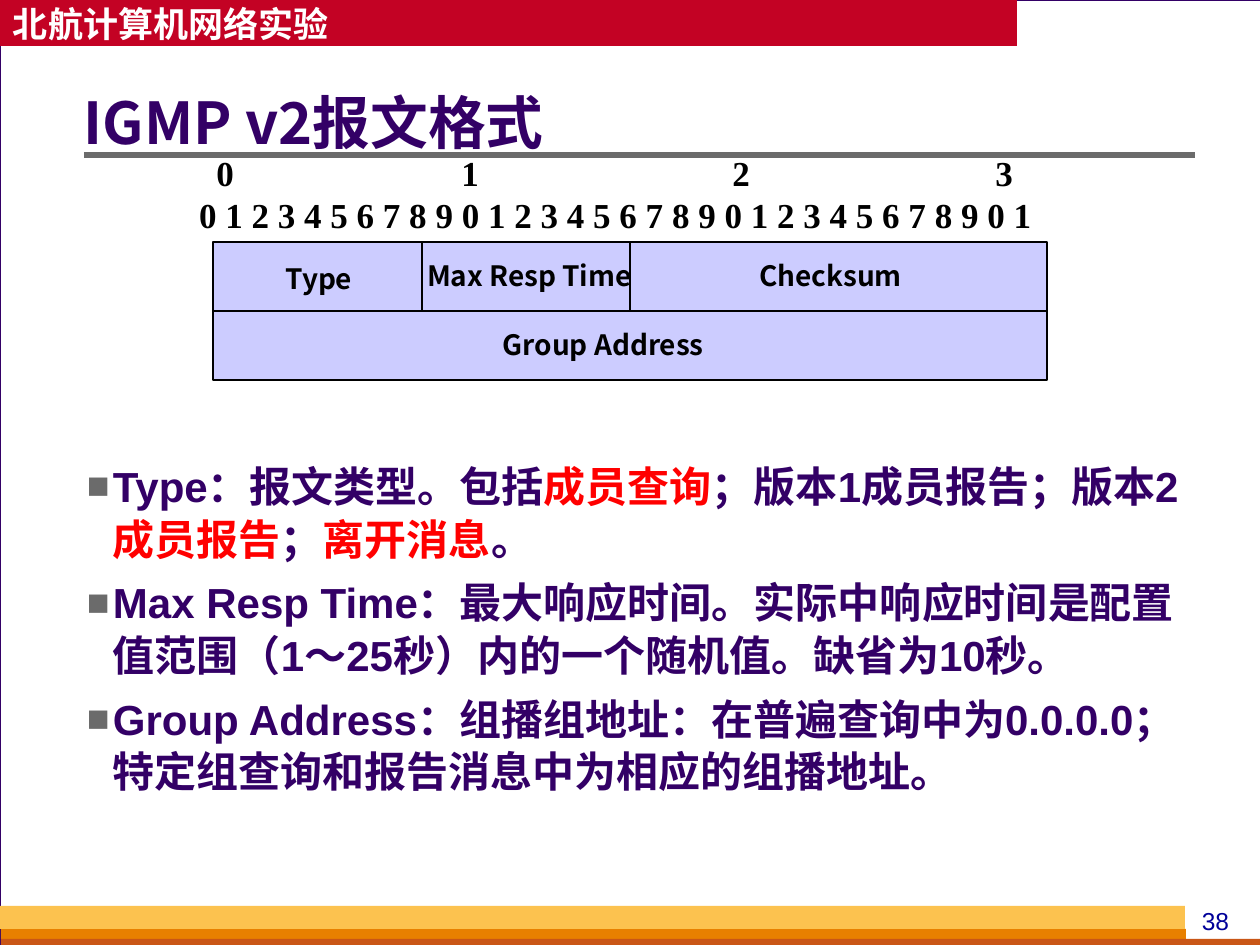
from dataclasses import dataclass
from typing import Optional

from lxml import etree
from pptx import Presentation
from pptx import util as u
from pptx.dml.color import RGBColor
from pptx.enum import shapes, text
from pptx.oxml import ns

PX = 914400 / 126
CJK, ARIAL, TIMES = "Noto Sans CJK SC", "Arial", "Times New Roman"
PURPLE, RED, GRAY, BLACK, CELL = "330066", "FF0000", "6B6B6B", "000000", "CCCCFF"
CENTER, LEFT = text.PP_ALIGN.CENTER, text.PP_ALIGN.LEFT
TOP, MIDDLE = text.MSO_ANCHOR.TOP, text.MSO_ANCHOR.MIDDLE


@dataclass
class Box:
    x: int
    y: int
    w: int
    h: int


@dataclass
class Bar:
    box: Box
    fill: str
    line: Optional[str] = None
    width: float = 1


@dataclass
class Style:
    size: int
    name: str
    color: str
    bold: bool = True


@dataclass
class Label:
    box: Box
    words: str
    style: Style
    align: object = CENTER
    anchor: object = TOP
    wrap: bool = False
    left: int = 13


def px(n: int) -> int:
    return round(n * PX)


def place(b: Box) -> list:
    return [px(n) for n in (b.x, b.y, b.w, b.h)]


def rgb(value: str) -> RGBColor:
    return RGBColor.from_string(value)


def assign(target, values: dict) -> None:
    for key, value in values.items():
        setattr(target, key, value)


def add_bar(s, bar: Bar) -> None:
    sp = s.shapes.add_shape(shapes.MSO_SHAPE.RECTANGLE, *place(bar.box))
    sp.shadow.inherit = False
    sp.fill.solid()
    sp.fill.fore_color.rgb = rgb(bar.fill)
    if bar.line:
        sp.line.color.rgb = rgb(bar.line)
        sp.line.width = u.Pt(bar.width)
    else:
        sp.line.fill.background()


def add_run(p, words: str, style: Style, color: Optional[str] = None) -> None:
    r = p.add_run()
    r.text = words
    assign(r.font, {"size": u.Pt(style.size), "bold": style.bold, "name": style.name})
    r.font.color.rgb = rgb(color or style.color)
    ea = etree.Element(ns.qn("a:ea"), typeface=style.name)
    r.font._element.find(ns.qn("a:latin")).addnext(ea)


def add_frame(s, box: Box, anchor=TOP, wrap: bool = True, left: int = 13):
    tf = s.shapes.add_textbox(*place(box)).text_frame
    assign(tf, {"word_wrap": wrap, "vertical_anchor": anchor, "margin_left": px(left),
                "margin_right": px(13), "margin_top": px(6), "margin_bottom": px(6)})
    return tf


def add_label(s, label: Label):
    tf = add_frame(s, label.box, label.anchor, label.wrap, label.left)
    p = tf.paragraphs[0]
    p.alignment = label.align
    add_run(p, label.words, label.style)
    return tf


def add_rule(s, x1: int, y: int, x2: int) -> None:
    ln = s.shapes.add_connector(shapes.MSO_CONNECTOR.STRAIGHT, px(x1), px(y), px(x2), px(y))
    ln.line.color.rgb = rgb(GRAY)
    ln.line.width = u.Pt(3)
    etree.SubElement(ln._element.spPr, ns.qn("a:effectLst"))


def add_bullet(p) -> None:
    ppr = p._p.get_or_add_pPr()
    ppr.set("marL", str(px(26)))
    ppr.set("indent", str(px(-26)))
    color = etree.SubElement(ppr, ns.qn("a:buClr"))
    etree.SubElement(color, ns.qn("a:srgbClr"), val=GRAY)
    etree.SubElement(ppr, ns.qn("a:buSzPct"), val="90000")
    etree.SubElement(ppr, ns.qn("a:buFont"), typeface=ARIAL)
    etree.SubElement(ppr, ns.qn("a:buChar"), char="■")


def add_tabs(p, stops: list) -> None:
    tabs = etree.SubElement(p._p.get_or_add_pPr(), ns.qn("a:tabLst"))
    for stop in stops:
        etree.SubElement(tabs, ns.qn("a:tab"), pos=str(px(stop)), algn="ctr")


def add_body(s, box: Box, items: list, style: Style) -> None:
    tf = add_frame(s, box)
    for i, item in enumerate(items):
        p = tf.add_paragraph() if i else tf.paragraphs[0]
        add_bullet(p)
        p.line_spacing = 1.05
        if i:
            p.space_before = u.Pt(6)
        for words, color in item:
            add_run(p, words, style, color)


def add_bit_ruler(s, box: Box, stops: list, style: Style) -> None:
    tf = add_frame(s, box, MIDDLE)
    tens, bits = tf.paragraphs[0], tf.add_paragraph()
    tens.alignment = LEFT
    add_tabs(tens, stops)
    add_run(tens, "".join(f"\t{n}" for n in range(len(stops))), style)
    bits.alignment = CENTER
    add_run(bits, " ".join(str(n % 10) for n in range(32)), style)


FRAME = [
    Bar(Box(0, 0, 1261, 945), "FFFFFF", PURPLE, 0.75),
    Bar(Box(0, 0, 1017, 46), "C30224"),
    Bar(Box(1, 929, 1185, 10), "E88000"),
    Bar(Box(1, 939, 1260, 10), "C95616"),
    Bar(Box(0, 906, 1185, 23), "FCC24F"),
]
FIELD = Style(16, CJK, BLACK)
ROW_X, ROW_Y, ROW_H, BYTE_W = 213, 242, 69, 208.5
CELLS = [(0, 0, 1), (0, 1, 1), (0, 2, 2), (1, 0, 4)]
LABELS = [
    Label(Box(0, 0, 1017, 46), "北航计算机网络实验", Style(20, CJK, "FFFFFF"), LEFT, MIDDLE),
    Label(Box(1176, 900, 79, 43), "38", Style(14, ARIAL, "000099", False), wrap=True),
    Label(Box(84, 58, 1111, 127), "IGMP v2报文格式", Style(33, CJK, PURPLE), LEFT, MIDDLE, True, 0),
    Label(Box(268, 256, 108, 47), "Type ", FIELD),
    Label(Box(402, 253, 261, 47), "Max Resp Time ", FIELD),
    Label(Box(746, 253, 176, 47), "Checksum ", FIELD),
    Label(Box(476, 322, 261, 47), "Group Address ", FIELD),
]
ITEMS = [
    [("Type：报文类型。包括", PURPLE), ("成员查询", RED), ("；版本1成员报告；版本2", PURPLE),
     ("成员报告", RED), ("；", PURPLE), ("离开消息", RED), ("。", PURPLE)],
    [("Max Resp Time：最大响应时间。实际中响应时间是配置值范围（1～25秒）内的一个随机值。缺省为10秒。", PURPLE)],
    [("Group Address：组播组地址：在普遍查询中为0.0.0.0；特定组查询和报告消息中为相应的组播地址。", PURPLE)],
]


def main() -> None:
    prs = Presentation()
    assign(prs, {"slide_width": px(1260), "slide_height": px(945)})
    s = prs.slides.add_slide(prs.slide_layouts[6])
    s.background.fill.solid()
    s.background.fill.fore_color.rgb = rgb("D8DADA")
    for bar in FRAME:
        add_bar(s, bar)
    add_rule(s, 84, 155, 1195)
    for row, byte, span in CELLS:
        left, right = (round(ROW_X + n * BYTE_W) for n in (byte, byte + span))
        add_bar(s, Bar(Box(left, ROW_Y + row * ROW_H, right - left, ROW_H), CELL, BLACK))
    for label in LABELS:
        add_label(s, label)
    add_body(s, Box(74, 452, 1121, 345), ITEMS, Style(24, ARIAL, PURPLE))
    add_bit_ruler(s, Box(164, 145, 903, 97), [48, 293, 564, 827], Style(20, TIMES, BLACK))
    prs.save("out.pptx")


if __name__ == "__main__":
    main()
